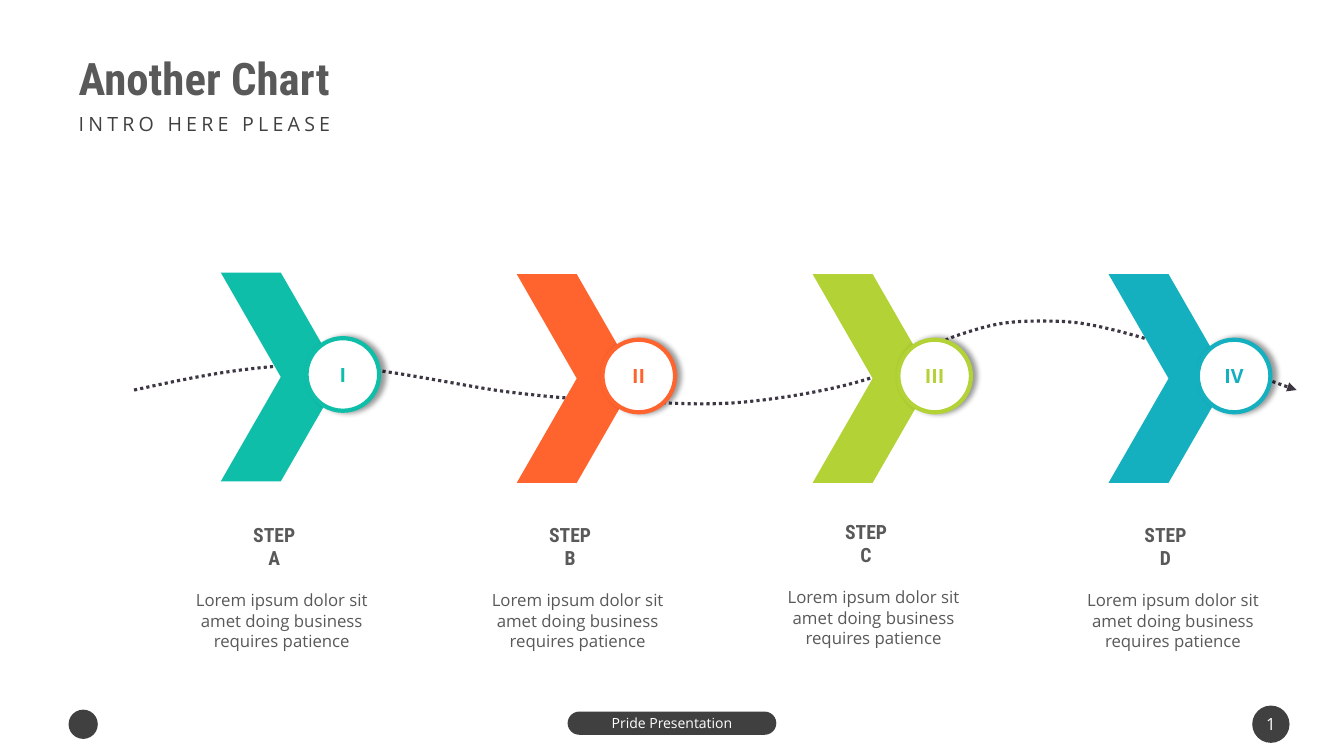
from pptx import Presentation
from pptx.dml.color import RGBColor
from pptx.enum.dml import MSO_LINE
from pptx.enum.shapes import MSO_SHAPE as Shape
from pptx.enum.text import MSO_ANCHOR as Anchor, MSO_AUTO_SIZE as AutoSize, PP_ALIGN as Align
from pptx.oxml import parse_xml
from pptx.oxml.ns import nsdecls, qn
from pptx.util import Inches, Pt

CELL = Inches(0.1)
GREY, DARK, WHITE = "595959", "404040", "FFFFFF"
PITCH = 29.35
CAPTION = "Lorem ipsum dolor sit amet doing business requires patience"
STEPS = [
    ("I", "STEP A", "0EBEA9", -0.15, 0, 0),
    ("II", "STEP B", "FF642E", 0, 0, 0),
    ("III", "STEP C", "B2D235", 0, 0, -0.3),
    ("IV", "STEP D", "15B0BF", 0, 0.35, 0),
]
TRAIL_START = (13.3, 38.7)
TRAIL_CURVES = [
    ((19.2, 37.4), (25, 36.2), (31.2, 36.2)),
    ((37.4, 36.3), (45.6, 38.3), (50.5, 38.9)),
    ((55.5, 39.5), (57.2, 39.6), (61.1, 39.7)),
    ((64.9, 39.9), (69.4, 40.3), (73.7, 39.9)),
    ((78, 39.5), (83.1, 38.6), (86.7, 37.4)),
    ((90.3, 36.3), (92.3, 34), (95.5, 33.1)),
    ((98.6, 32.1), (100.1, 31.7), (105.6, 31.9)),
    ((111, 32.1), (123.7, 37), (128.6, 38.7)),
]


def color(hex_value):
    return RGBColor.from_string(hex_value)


def cells(*counts):
    return [int(count * CELL) for count in counts]


def write(frame, text, size=12, font="Open Sans", fill=GREY, bold=False,
          align=Align.CENTER, anchor=Anchor.MIDDLE, inset=0, wrap=True,
          line_spacing=1.0, tracking=0):
    frame.auto_size = AutoSize.NONE
    frame.word_wrap = wrap
    frame.vertical_anchor = anchor
    frame.margin_left = frame.margin_right = Inches(inset)
    frame.margin_top = frame.margin_bottom = Inches(inset / 2)
    paragraph = frame.paragraphs[0]
    paragraph.alignment = align
    paragraph.line_spacing = line_spacing
    paragraph.space_before = Pt(0)
    run = paragraph.add_run()
    run.text = text
    run.font.name, run.font.size, run.font.bold = font, Pt(size), bold
    run.font.color.rgb = color(fill)
    if tracking:
        run.font._element.set("spc", str(tracking * 100))


def curve_points(start, curves, steps=12):
    for first, second, end in curves:
        for step in range(1, steps + 1):
            t = step / steps
            u = 1 - t
            yield tuple(
                u**3 * a + 3 * u * u * t * b + 3 * u * t * t * c + t**3 * d
                for a, b, c, d in zip(start, first, second, end)
            )
        start = end


class StepSlide:
    heading = dict(font="Roboto Condensed", bold=True)

    def __init__(self, deck):
        self.slide = deck.slides.add_slide(deck.slide_layouts[1])
        self.shapes = self.slide.shapes

    def placeholder(self, index, text, box, **style):
        holder = self.slide.placeholders[index]
        holder.left, holder.top, holder.width, holder.height = cells(*box)
        if index:
            properties = holder.text_frame.paragraphs[0]._p.get_or_add_pPr()
            properties.set("marL", "0")
            properties.set("indent", "0")
            properties.append(parse_xml(f"<a:buNone {nsdecls('a')}/>"))
        write(holder.text_frame, text, align=Align.LEFT, inset=0.1,
              line_spacing=0.9, **style)

    def label(self, text, box, **style):
        write(self.shapes.add_textbox(*cells(*box)).text_frame, text, **style)

    def shape(self, preset, box, fill, outline=None):
        figure = self.shapes.add_shape(preset, *cells(*box))
        figure.shadow.inherit = False
        figure.fill.solid()
        figure.fill.fore_color.rgb = color(fill)
        if outline:
            figure.line.color.rgb = color(outline)
            figure.line.width = Pt(3)
        else:
            figure.line.fill.background()
        return figure

    def badge(self, numeral, box, tint):
        disc = self.shape(Shape.OVAL, box, WHITE, tint)
        disc.element.spPr.find(qn("a:effectLst")).append(parse_xml(
            f'<a:outerShdw {nsdecls("a")} blurRad="{Pt(4)}" dist="{Pt(3)}" dir="0" '
            'algn="l" rotWithShape="0"><a:srgbClr val="000000">'
            '<a:alpha val="40000"/></a:srgbClr></a:outerShdw>'))
        write(disc.text_frame, numeral, size=14, fill=tint, bold=True, wrap=False)

    def trail(self, start, curves):
        builder = self.shapes.build_freeform(*cells(*start))
        builder.add_line_segments(
            [cells(*point) for point in curve_points(start, curves)], close=False)
        path_line = builder.convert_to_shape()
        path_line.shadow.inherit = False
        path_line.fill.background()
        path_line.line.color.rgb = color("3D3743")
        path_line.line.width = Pt(2.25)
        path_line.line.dash_style = MSO_LINE.ROUND_DOT
        path_line.element.spPr.find(qn("a:ln")).append(
            parse_xml(f'<a:tailEnd {nsdecls("a")} type="triangle"/>'))

    def step(self, index, numeral, name, tint, lift, shift, rise):
        offset = index * PITCH
        self.shape(Shape.CHEVRON, (21.9 + offset, 27.2 + lift, 11.9, 20.7), tint)
        self.badge(numeral, (30.4 + offset + shift, 33.7 + lift, 7.2, 7.2), tint)
        left = 19.4 + offset + shift
        self.label(name, (left + 5.3, 53 + rise, 5, 2.4), size=14, **self.heading)
        self.label(CAPTION, (left, 58.5 + rise, 17.1, 6.1))

    def footer(self, text, number):
        page = self.shape(Shape.OVAL, (124.2, 70, 3.7, 3.7), DARK)
        write(page.text_frame, number, fill=WHITE, wrap=False)
        pill = self.shape(Shape.ROUNDED_RECTANGLE, (56.3, 70.6, 20.7, 2.3), DARK)
        pill.adjustments[0] = 0.5
        write(pill.text_frame, text, size=10, fill=WHITE, wrap=False)
        self.shape(Shape.OVAL, (6.8, 70.4, 2.9, 2.9), DARK)


def main():
    deck = Presentation()
    deck.slide_width, deck.slide_height = Inches(13.33), Inches(7.5)
    page = StepSlide(deck)
    page.trail(TRAIL_START, TRAIL_CURVES)
    page.placeholder(0, "Another Chart", (6.8, 5.9, 52.2, 4.2), size=32, **page.heading)
    page.placeholder(1, "INTRO HERE PLEASE", (6.8, 10.9, 52.2, 3.4), size=14,
                     fill=DARK, anchor=Anchor.TOP, tracking=3)
    for index, step in enumerate(STEPS):
        page.step(index, *step)
    page.footer("Pride Presentation", "1")
    deck.save("out.pptx")


if __name__ == "__main__":
    main()
